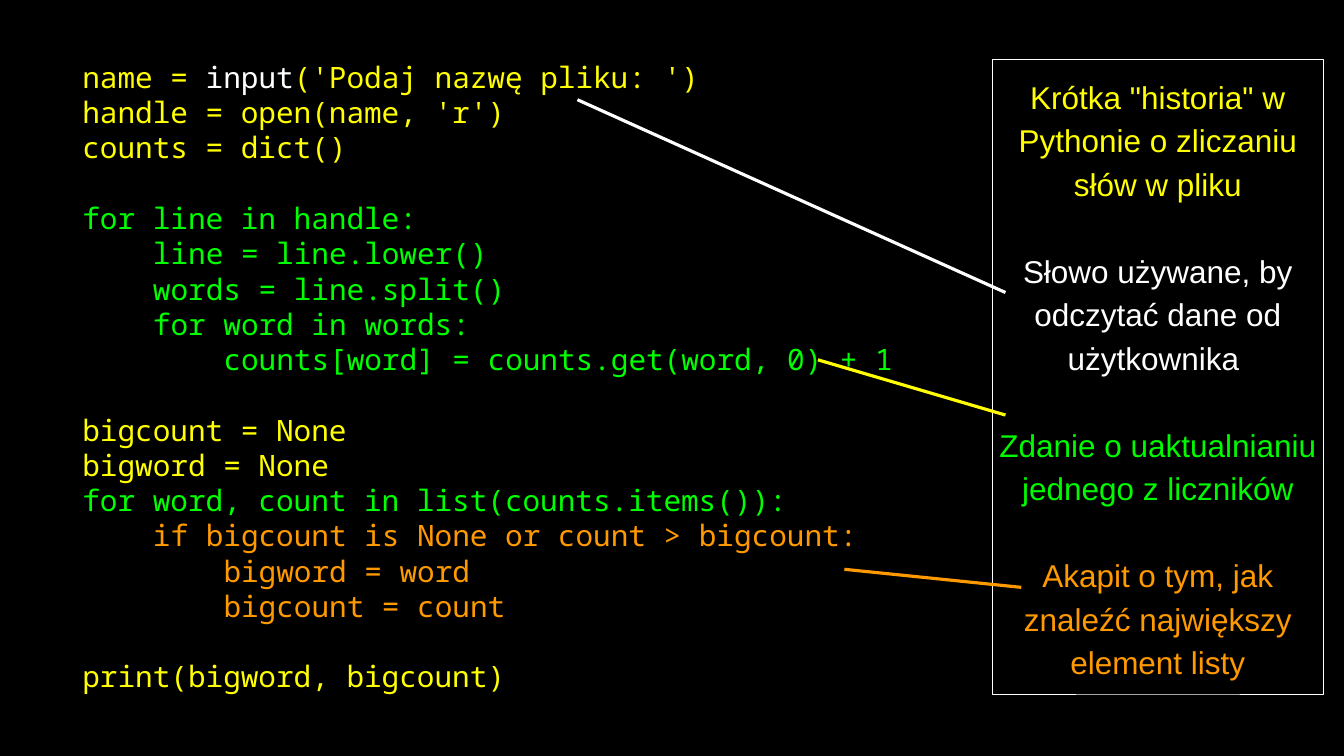
from lxml import etree
from pptx import Presentation
from pptx.dml.color import RGBColor
from pptx.enum import shapes, text
from pptx.oxml.ns import qn
from pptx.util import Pt

BLACK = RGBColor(0x00, 0x00, 0x00)
WHITE = RGBColor(0xFF, 0xFF, 0xFF)
YELLOW = RGBColor(0xFF, 0xFF, 0x00)
GREEN = RGBColor(0x00, 0xFF, 0x00)
SOFT_GREEN = RGBColor(0x00, 0xFA, 0x00)
ORANGE = RGBColor(0xFF, 0x99, 0x00)

CODE_SIZE, CODE_PITCH = 28, 33.6
STORY_SIZE, STORY_PITCH = 30, 41.4
INDENT = 67.2  # four characters of code

# Blocks of code, set apart by one line; each line is (level, colour, text)
CODE = [
    [(0, YELLOW, "name = input('Podaj nazwę pliku: ')"),
     (0, YELLOW, "handle = open(name, 'r')"),
     (0, YELLOW, "counts = dict()")],
    [(0, GREEN, "for line in handle:"),
     (1, GREEN, "line = line.lower()"),
     (1, GREEN, "words = line.split()"),
     (1, GREEN, "for word in words:"),
     (2, GREEN, "counts[word] = counts.get(word, 0) + 1")],
    [(0, YELLOW, "bigcount = None"),
     (0, YELLOW, "bigword = None"),
     (0, GREEN, "for word, count in list(counts.items()):"),
     (1, ORANGE, "if bigcount is None or count > bigcount:"),
     (2, ORANGE, "bigword = word"),
     (2, ORANGE, "bigcount = count")],
    [(0, YELLOW, "print(bigword, bigcount)")],
]
KEYWORD = "input"

STORY = [
    (YELLOW, 'Krótka "historia" w Pythonie o zliczaniu słów w pliku'),
    (WHITE, "Słowo używane, by odczytać dane od użytkownika "),
    (SOFT_GREEN, "Zdanie o uaktualnianiu jednego z liczników"),
    (ORANGE, "Akapit o tym, jak znaleźć największy element listy"),
]

POINTERS = [
    (WHITE, (550, 95), (957.6, 278.6)),
    (YELLOW, (779, 342.7), (957.6, 395.3)),
    (ORANGE, (804.2, 542.2), (972.7, 559.4)),
]


def prepare_frame(frame):
    frame.word_wrap = True
    frame.vertical_anchor = text.MSO_ANCHOR.MIDDLE
    frame.margin_left = frame.margin_right = 0
    frame.margin_top = frame.margin_bottom = 0


def next_paragraph(frame, first):
    return frame.paragraphs[0] if first else frame.add_paragraph()


def style_paragraph(paragraph, font_name, size, color, pitch, gap):
    paragraph.font.name = font_name
    paragraph.font.size = Pt(size)
    paragraph.font.color.rgb = color
    paragraph.line_spacing = Pt(pitch)
    paragraph.space_before = Pt(pitch if gap else 0)


def add_code(slide):
    frame = slide.shapes.add_textbox(Pt(78.5), Pt(61.2), Pt(790), Pt(594.7)).text_frame
    prepare_frame(frame)
    for block_no, block in enumerate(CODE):
        for line_no, (level, color, code) in enumerate(block):
            line = next_paragraph(frame, block_no == line_no == 0)
            style_paragraph(line, "Noto Sans Mono", CODE_SIZE, color, CODE_PITCH,
                            gap=block_no > 0 and line_no == 0)
            line.alignment = text.PP_ALIGN.LEFT
            properties = line._p.get_or_add_pPr()
            properties.set("marL", str(Pt(level * INDENT)))
            properties.set("indent", "0")
            before, keyword, after = code.partition(KEYWORD)
            for part in filter(None, (before, keyword, after)):
                run = line.add_run()
                run.text = part
                if part == KEYWORD:
                    run.font.color.rgb = WHITE


def add_story(slide):
    box = slide.shapes.add_shape(shapes.MSO_SHAPE.RECTANGLE,
                                 Pt(945.4), Pt(56.2), Pt(314.6), Pt(604.8))
    box.shadow.inherit = False
    box.fill.background()
    box.line.color.rgb = WHITE
    box.line.width = Pt(0.75)
    prepare_frame(box.text_frame)
    for number, (color, passage) in enumerate(STORY):
        paragraph = next_paragraph(box.text_frame, number == 0)
        paragraph.text = passage
        paragraph.alignment = text.PP_ALIGN.CENTER
        style_paragraph(paragraph, "Arial", STORY_SIZE, color, STORY_PITCH, gap=number > 0)


def add_pointer(slide, color, start, end):
    pointer = slide.shapes.add_connector(
        shapes.MSO_CONNECTOR.STRAIGHT, *(Pt(length) for length in start + end))
    pointer.line.color.rgb = color
    pointer.line.width = Pt(3)
    etree.SubElement(pointer._element.spPr, qn("a:effectLst"))


def main():
    deck = Presentation()
    deck.slide_width, deck.slide_height = Pt(1280), Pt(720)
    slide = deck.slides.add_slide(deck.slide_layouts[6])
    slide.background.fill.solid()
    slide.background.fill.fore_color.rgb = BLACK
    add_code(slide)
    add_story(slide)
    for color, start, end in POINTERS:
        add_pointer(slide, color, start, end)
    deck.save("out.pptx")


if __name__ == "__main__":
    main()
